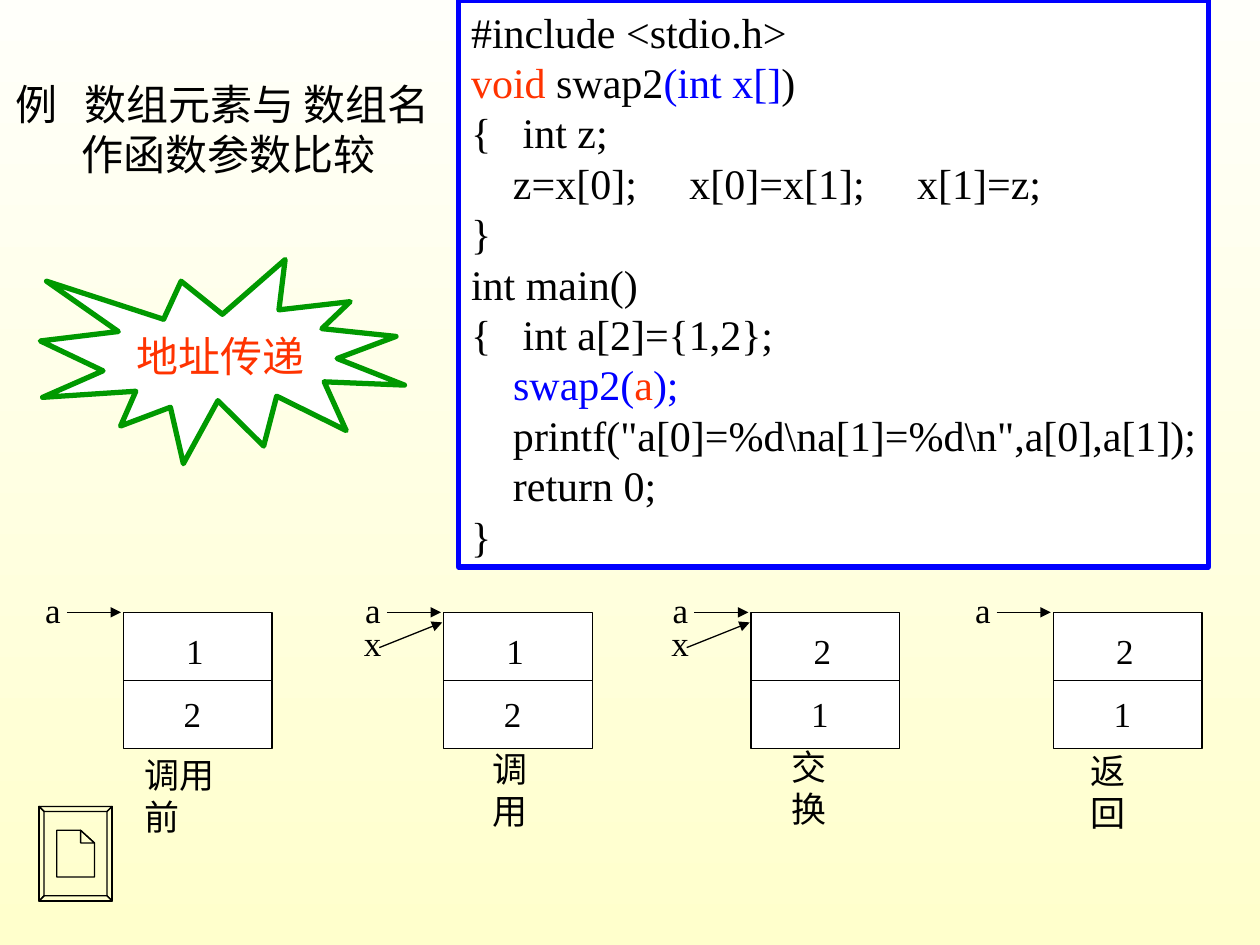
from lxml import etree
from pptx import Presentation
from pptx.dml.color import RGBColor
from pptx.enum.shapes import MSO_CONNECTOR, MSO_SHAPE
from pptx.enum.text import MSO_ANCHOR, MSO_AUTO_SIZE, PP_ALIGN
from pptx.oxml.ns import qn
from pptx.util import Inches, Pt

STRAIGHT = MSO_CONNECTOR.STRAIGHT
RECTANGLE = MSO_SHAPE.RECTANGLE
BURST = MSO_SHAPE.EXPLOSION1
TOP, MIDDLE = MSO_ANCHOR.TOP, MSO_ANCHOR.MIDDLE
LEFT, CENTER = PP_ALIGN.LEFT, PP_ALIGN.CENTER
FIT_TEXT, FIXED = MSO_AUTO_SIZE.SHAPE_TO_FIT_TEXT, MSO_AUTO_SIZE.NONE

BLACK = RGBColor(0x00, 0x00, 0x00)
WHITE = RGBColor(0xFF, 0xFF, 0xFF)
RED = RGBColor(0xFF, 0x33, 0x00)
BLUE = RGBColor(0x00, 0x00, 0xFF)
GREEN = RGBColor(0x00, 0x99, 0x00)
IVORY = RGBColor(0xFF, 0xFF, 0xFA)
CREAM = RGBColor(0xFF, 0xFF, 0xCC)

FONT = "Times New Roman"
ARRAY_TOP, ARRAY_WIDTH, ARRAY_HEIGHT = 4.86, 1.18, 1.08
LABEL_HEIGHT = 0.44

CODE = [
    [("#include <stdio.h>", BLACK)],
    [("void", RED), (" swap2", BLACK), ("(int x[]", BLUE), (")", BLACK)],
    [("{   int z;", BLACK)],
    [("    z=x[0];     x[0]=x[1];     x[1]=z;", BLACK)],
    [("}", BLACK)],
    [("int main()", BLACK)],
    [("{   int a[2]={1,2};", BLACK)],
    [("    ", BLACK), ("swap2(", BLUE), ("a", RED), (");", BLUE)],
    [('    printf("a[0]=%d\\na[1]=%d\\n",a[0],a[1]);', BLACK)],
    [("    return 0;", BLACK)],
    [("}", BLACK)],
]

# left, values, has parameter x, caption, caption offset, caption top, caption width
STATES = [
    (0.98, "12", False, "调用前", 0.07, 5.93, 1.03),
    (3.52, "12", True, "调用", 0.29, 5.88, 0.75),
    (5.96, "21", True, "交换", 0.22, 5.87, 0.75),
    (8.36, "21", False, "返回", 0.2, 5.9, 0.75),
]


def inches(*lengths):
    return [Inches(length) for length in lengths]


def style_runs(paragraph, size, color):
    for run in paragraph.runs:
        run.font.name = FONT
        run.font.size = Pt(size)
        run.font.color.rgb = color


def paint_background(slide):
    fill = slide.background.fill
    fill.gradient()
    fill.gradient_angle = 270
    for stop, color in zip(fill.gradient_stops, (IVORY, CREAM)):
        stop.color.rgb = color


def add_panel(shapes, preset, box, line_color, line_width):
    panel = shapes.add_shape(preset, *inches(*box))
    panel.shadow.inherit = False
    panel.fill.solid()
    panel.fill.fore_color.rgb = WHITE
    panel.line.color.rgb = line_color
    panel.line.width = Pt(line_width)
    panel.text_frame.word_wrap = False
    return panel


def add_label(shapes, text, left, top, width):
    label = shapes.add_textbox(*inches(left, top, width, LABEL_HEIGHT))
    frame = label.text_frame
    frame.word_wrap = False
    frame.auto_size = FIT_TEXT
    frame.text = text
    style_runs(frame.paragraphs[0], 20, BLACK)


def add_line(shapes, start, end, arrow=False):
    line = shapes.add_connector(STRAIGHT, *inches(*start, *end))
    line.line.color.rgb = BLACK
    line.line.width = Pt(0.75)
    properties = line.element.spPr
    if arrow:
        etree.SubElement(properties.find(qn("a:ln")), qn("a:tailEnd"), type="triangle")
    etree.SubElement(properties, qn("a:effectLst"))
    return line


def add_title(slide):
    title = slide.shapes.title
    title.left, title.top, title.width, title.height = inches(0.02, 0.57, 3.5, 0.9)
    frame = title.text_frame
    frame.word_wrap = False
    frame.auto_size = FIXED
    frame.vertical_anchor = TOP
    frame.text = "例\t数组元素与 数组名\n作函数参数比较"
    first, second = frame.paragraphs
    tabs = etree.SubElement(first._p.get_or_add_pPr(), qn("a:tabLst"))
    etree.SubElement(tabs, qn("a:tab"), pos=str(Inches(0.55)), algn="l")
    second._p.get_or_add_pPr().set("marL", str(Inches(0.53)))
    for paragraph in frame.paragraphs:
        paragraph.alignment = LEFT
        style_runs(paragraph, 24, BLACK)


def add_code(slide):
    listing = add_panel(slide.shapes, RECTANGLE, (3.64, 0, 5.95, 4.5), BLUE, 3)
    frame = listing.text_frame
    frame.vertical_anchor = TOP
    for number, tokens in enumerate(CODE):
        paragraph = frame.add_paragraph() if number else frame.paragraphs[0]
        paragraph.alignment = LEFT
        for text, color in tokens:
            run = paragraph.add_run()
            run.text = text
            run.font.name = FONT
            run.font.size = Pt(24)
            run.font.color.rgb = color


def add_burst(slide):
    burst = add_panel(slide.shapes, BURST, (0.32, 2.06, 2.89, 1.62), GREEN, 3)
    burst.text_frame.vertical_anchor = MIDDLE
    burst.text_frame.text = "地址传递"
    paragraph = burst.text_frame.paragraphs[0]
    paragraph.alignment = CENTER
    style_runs(paragraph, 24, RED)


def add_state(slide, left, values, has_parameter, caption, offset, caption_top, caption_width):
    shapes = slide.shapes.add_group_shape().shapes
    box = (left, ARRAY_TOP, ARRAY_WIDTH, ARRAY_HEIGHT)
    array = add_panel(shapes, RECTANGLE, box, BLACK, 0.75)
    middle = ARRAY_TOP + ARRAY_HEIGHT / 2
    divider = add_line(shapes, (left, middle), (left + ARRAY_WIDTH, middle))
    divider.begin_connect(array, 1)
    divider.end_connect(array, 3)
    add_label(shapes, values[0], left + 0.4, 4.95, 0.34)
    add_label(shapes, values[1], left + 0.38, 5.45, 0.34)
    add_label(shapes, "a", left - 0.72, 4.62, 0.32)
    add_line(shapes, (left - 0.45, ARRAY_TOP), (left - 0.02, ARRAY_TOP), arrow=True)
    if has_parameter:
        add_label(shapes, "x", left - 0.73, 4.88, 0.34)
        add_line(shapes, (left - 0.51, 5.14), (left - 0.01, 4.94), arrow=True)
    add_label(shapes, caption, left + offset, caption_top, caption_width)


def rectangle_corners(left, top, right, bottom):
    return [(left, top), (right, top), (right, bottom), (left, bottom)]


def add_document_button(slide):
    outer = rectangle_corners(0.31, 6.4, 0.89, 7.15)
    inner = rectangle_corners(0.35, 6.44, 0.85, 7.11)
    bevels = [
        [outer[side], outer[(side + 1) % 4], inner[(side + 1) % 4], inner[side]]
        for side in range(4)
    ]
    page = [(0.45, 6.59), (0.64, 6.59), (0.75, 6.69), (0.75, 6.96), (0.45, 6.96)]
    fold = [(0.64, 6.59), (0.75, 6.69), (0.64, 6.69)]
    builder = slide.shapes.build_freeform(*inches(*outer[0]))
    for number, outline in enumerate([outer, *bevels, page, fold]):
        points = [inches(*point) for point in outline]
        if number:
            builder.move_to(*points[0])
        builder.add_line_segments(points[1:], close=True)
    button = builder.convert_to_shape()
    button.shadow.inherit = False
    button.fill.background()
    button.line.color.rgb = BLACK
    button.line.width = Pt(0.75)


def main():
    deck = Presentation()
    deck.slide_width, deck.slide_height = inches(10, 7.5)
    slide = deck.slides.add_slide(deck.slide_layouts[5])
    paint_background(slide)
    add_document_button(slide)
    for state in STATES:
        add_state(slide, *state)
    add_code(slide)
    add_burst(slide)
    add_title(slide)
    deck.save("out.pptx")


if __name__ == "__main__":
    main()
